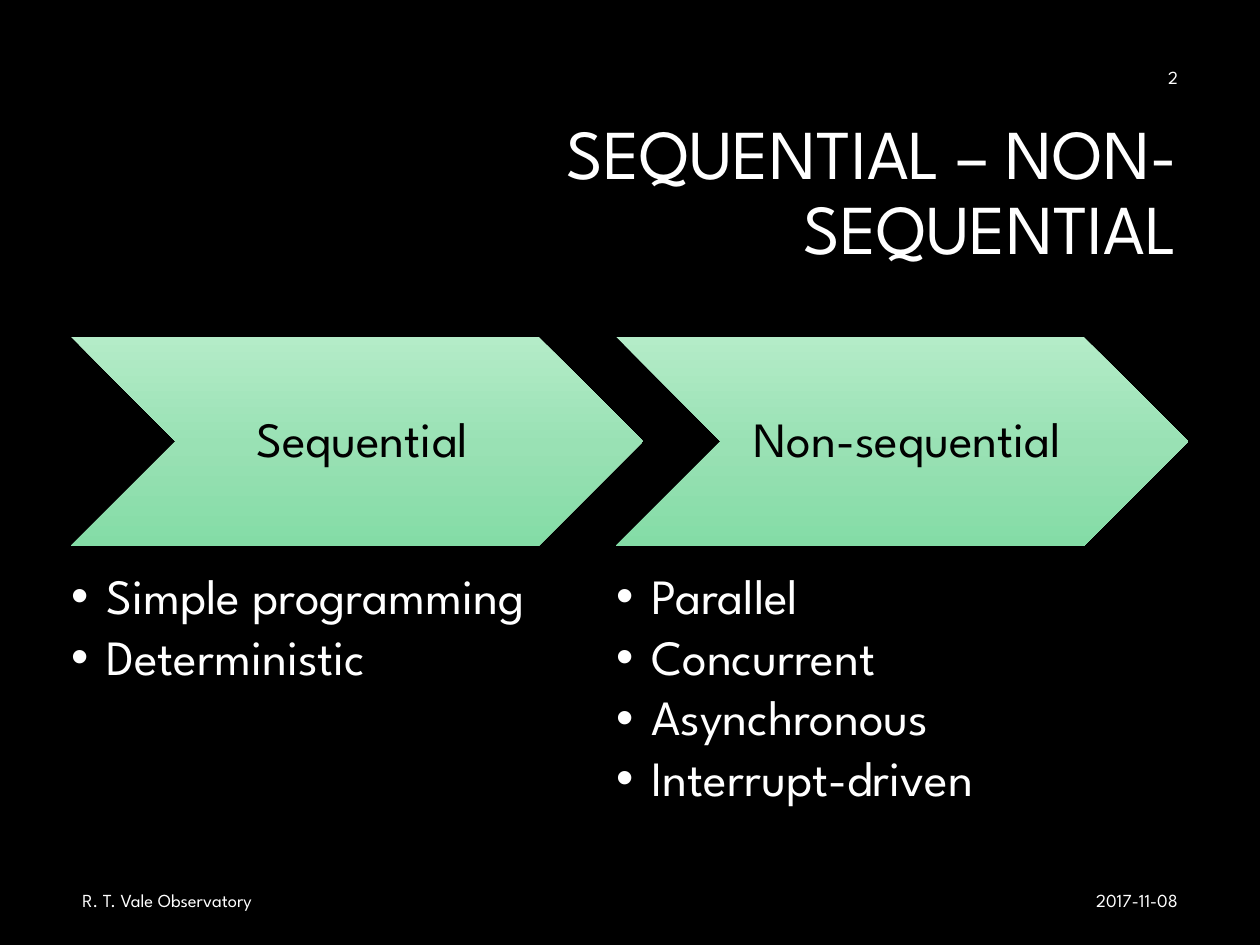
import copy

import pptx
import pptx.dml.color
import pptx.enum.shapes
import pptx.enum.text
import pptx.oxml
import pptx.oxml.ns
import pptx.util

HUES = {"back": "000000", "text": "FFFFFF", "dark": "000000",
        "top": "B4ECC8", "mid": "99E1B4", "low": "84DCA6"}
ALIGN = pptx.enum.text.PP_ALIGN
ANCHOR = pptx.enum.text.MSO_ANCHOR
LEFT, RIGHT, STEP = 5.65, 94.4, 43.26
GROUPS = {
    "Sequential": ["Simple programming", "Deterministic"],
    "Non-sequential": ["Parallel", "Concurrent", "Asynchronous",
                       "Interrupt-driven"],
}


def hue(name):
    return pptx.dml.color.RGBColor.from_string(HUES[name])


def write(shape, text, size=11.6, color="text", align=ALIGN.LEFT,
          anchor=ANCHOR.MIDDLE, inset=(0.1, 0.05, 0.1, 0.05),
          line=1.0, after=0, dot=False):
    frame = shape.text_frame
    frame.text = text
    frame.word_wrap = True
    frame.auto_size = pptx.enum.text.MSO_AUTO_SIZE.NONE
    frame.vertical_anchor = anchor
    (frame.margin_left, frame.margin_top, frame.margin_right,
     frame.margin_bottom) = map(pptx.util.Inches, inset)
    for para in frame.paragraphs:
        para.alignment = align
        para.line_spacing = line
        para.space_before = pptx.util.Pt(0)
        para.space_after = pptx.util.Pt(after)
        for run in para.runs:
            run.font.name = "League Spartan"
            run.font.size = pptx.util.Pt(size)
            run.font.color.rgb = hue(color)
        if dot:
            props = para._p.get_or_add_pPr()
            hang = pptx.util.Inches(0.31)
            props.set("marL", str(hang))
            props.set("indent", str(-hang))
            for tag in ('buFont {} typeface="Arial"', 'buChar {} char="•"'):
                props.append(pptx.oxml.parse_xml(
                    f"<a:{tag.format(pptx.oxml.ns.nsdecls('a'))}/>"))


class Deck:
    """Hold the style and current slide; lengths are percent of its size."""

    def __init__(self):
        self.show = pptx.Presentation()
        self.show.slide_width = pptx.util.Cm(28)
        self.show.slide_height = pptx.util.Cm(21)
        self.slide = self.show.slides.add_slide(self.show.slide_layouts[5])
        fill = self.slide.background.fill
        fill.solid()
        fill.fore_color.rgb = hue("back")

    def box(self, x, y, w, h):
        wide, high = self.show.slide_width, self.show.slide_height
        return [int(part * full / 100) for part, full in
                zip((x, y, w, h), (wide, high, wide, high))]

    def title(self, text, *place):
        shape = self.slide.shapes.title
        shape.left, shape.top, shape.width, shape.height = self.box(*place)
        write(shape, text, size=44.1, align=ALIGN.RIGHT, line=0.9)

    def label(self, text, *place, **form):
        write(self.slide.shapes.add_textbox(*self.box(*place)), text, **form)

    def arrow(self, text, *place):
        kind = pptx.enum.shapes.MSO_SHAPE.CHEVRON
        shape = self.slide.shapes.add_shape(kind, *self.box(*place))
        shape.shadow.inherit = False
        shape.line.fill.background()
        fill = shape.fill
        fill.gradient()
        fill.gradient_angle = 270
        stops = shape._element.spPr.find(
            ".//" + pptx.oxml.ns.qn("a:gsLst"))
        stops.insert(1, copy.deepcopy(stops[0]))
        for stop, (name, spot) in zip(fill.gradient_stops, (
                ("top", 0), ("mid", 0.52), ("low", 1))):
            stop.position = spot
            stop.color.rgb = hue(name)
        write(shape, text, size=31, color="dark", align=ALIGN.CENTER,
              inset=(0.14, 0.05, 0.05, 0.05), line=0.9)

    def points(self, items, *place):
        self.label("\n".join(items), *place, size=31, anchor=ANCHOR.TOP,
                   inset=(0, 0, 0, 0), line=0.9, after=4.65, dot=True)


deck = Deck()
deck.title("SEQUENTIAL – NON-SEQUENTIAL", 23.75, 11.12, 70.65, 18.86)
for col, (name, items) in enumerate(GROUPS.items()):
    x = LEFT + col * STEP
    deck.arrow(name, x, 35.65, 45.4, 22.1)
    deck.points(items, x, 60.55, 36.4, 26.5)
deck.label("R. T. Vale Observatory", LEFT, 92.62, 63.8, 5.32)
for text, y in (("2017-11-08", 92.62), ("2", 5.53)):
    deck.label(text, RIGHT - 23.9, y, 23.9, 5.32, align=ALIGN.RIGHT)
deck.show.save("out.pptx")
